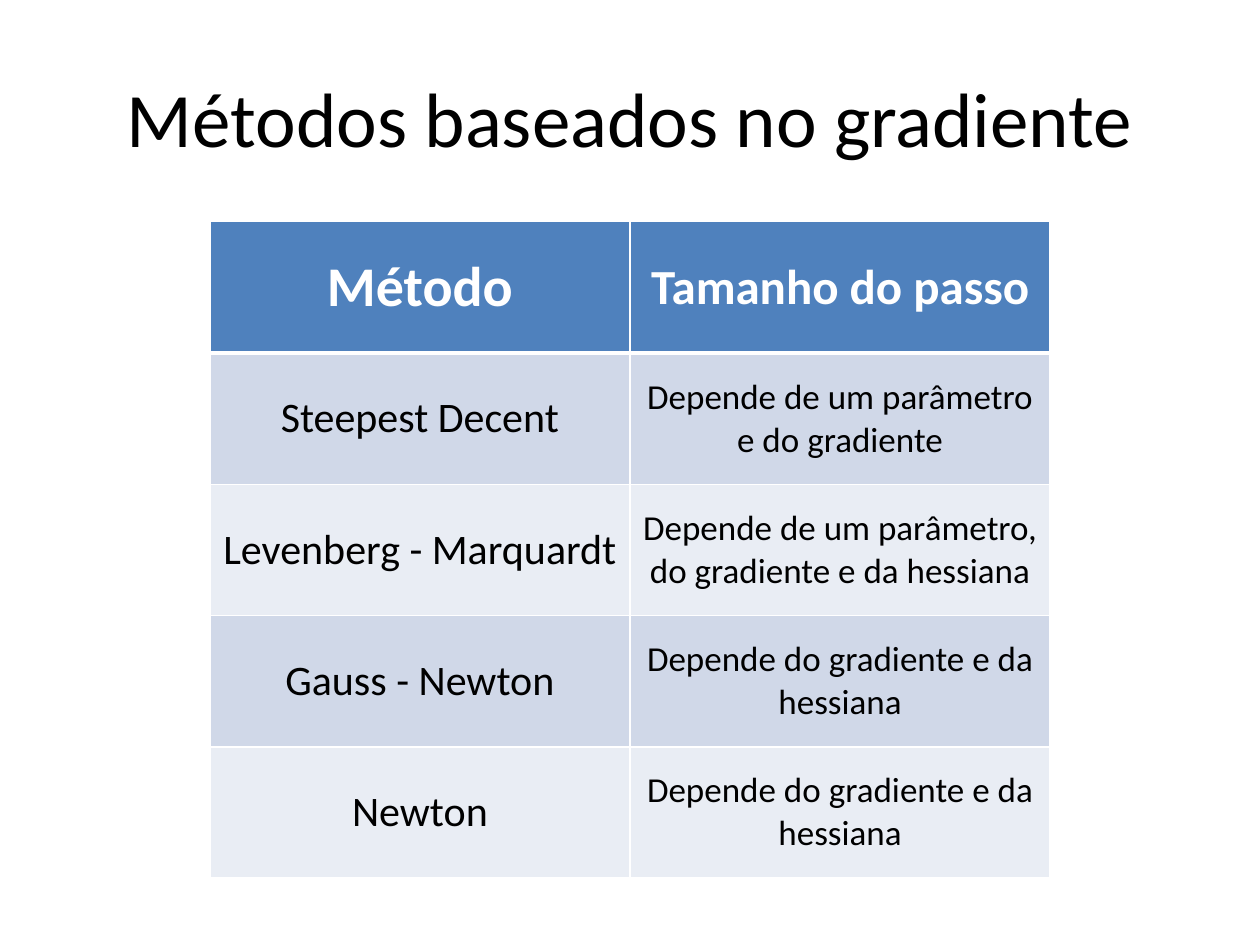
from lxml.etree import SubElement
from pptx import Presentation
from pptx.dml.color import RGBColor
from pptx.enum.text import MSO_ANCHOR, PP_ALIGN
from pptx.oxml.ns import qn
from pptx.util import Cm, Pt

ROWS = [
    ("Método", "Tamanho do passo"),
    ("Steepest Decent", "Depende de um parâmetro e do gradiente"),
    ("Levenberg - Marquardt", "Depende de um parâmetro, do gradiente e da hessiana"),
    ("Gauss - Newton", "Depende do gradiente e da hessiana"),
    ("Newton", "Depende do gradiente e da hessiana"),
]
HEADER_SIZES = (32, 28)
BODY_SIZES = (24, 20)
HEADER_FILL = "4F81BD"
BAND_FILLS = ("E9EDF4", "D0D8E8")


def color(hex_text):
    return RGBColor.from_string(hex_text)


def write(frame, text, size=20, ink="000000", bold=False):
    frame.word_wrap = True
    para = frame.paragraphs[0]
    para.alignment = PP_ALIGN.CENTER
    span = para.add_run()
    span.text = text
    span.font.name = "Calibri"
    span.font.size = Pt(size)
    span.font.bold = bold
    span.font.color.rgb = color(ink)


def add_borders(cell, **widths):
    properties = cell._tc.get_or_add_tcPr()
    for side in "LRTB":
        line = SubElement(properties, qn(f"a:ln{side}"), w=str(Pt(widths.get(side, 1))))
        fill = SubElement(line, qn("a:solidFill"))
        SubElement(fill, qn("a:srgbClr"), val="FFFFFF")


def add_title(page, text, left, top, width, height):
    box = page.shapes.add_textbox(left, top, width, height)
    box.text_frame.vertical_anchor = MSO_ANCHOR.MIDDLE
    write(box.text_frame, text, size=44)


def add_methods_table(page, rows, left, top, width, height):
    frame = page.shapes.add_table(len(rows), len(rows[0]), left, top, width, height)
    table = frame.table
    for column in table.columns:
        column.width = width // len(rows[0])
    for row_index, texts in enumerate(rows):
        table.rows[row_index].height = height // len(rows)
        header = row_index == 0
        sizes = HEADER_SIZES if header else BODY_SIZES
        for column_index, text in enumerate(texts):
            cell = table.cell(row_index, column_index)
            add_borders(cell, T=3 if row_index == 1 else 1, B=3 if header else 1)
            cell.fill.solid()
            cell.fill.fore_color.rgb = color(HEADER_FILL if header else BAND_FILLS[row_index % 2])
            cell.vertical_anchor = MSO_ANCHOR.MIDDLE
            write(cell.text_frame, text, size=sizes[column_index],
                  ink="FFFFFF" if header else "000000", bold=header)


deck = Presentation()
deck.slide_width, deck.slide_height = Cm(25.4), Cm(19.05)
page = deck.slides.add_slide(deck.slide_layouts[6])
add_title(page, "Métodos baseados no gradiente", Cm(1.27), Cm(0.76), Cm(22.86), Cm(3.18))
add_methods_table(page, ROWS, Cm(4.23), Cm(4.47), Cm(16.94), Cm(13.23))
deck.save("out.pptx")
